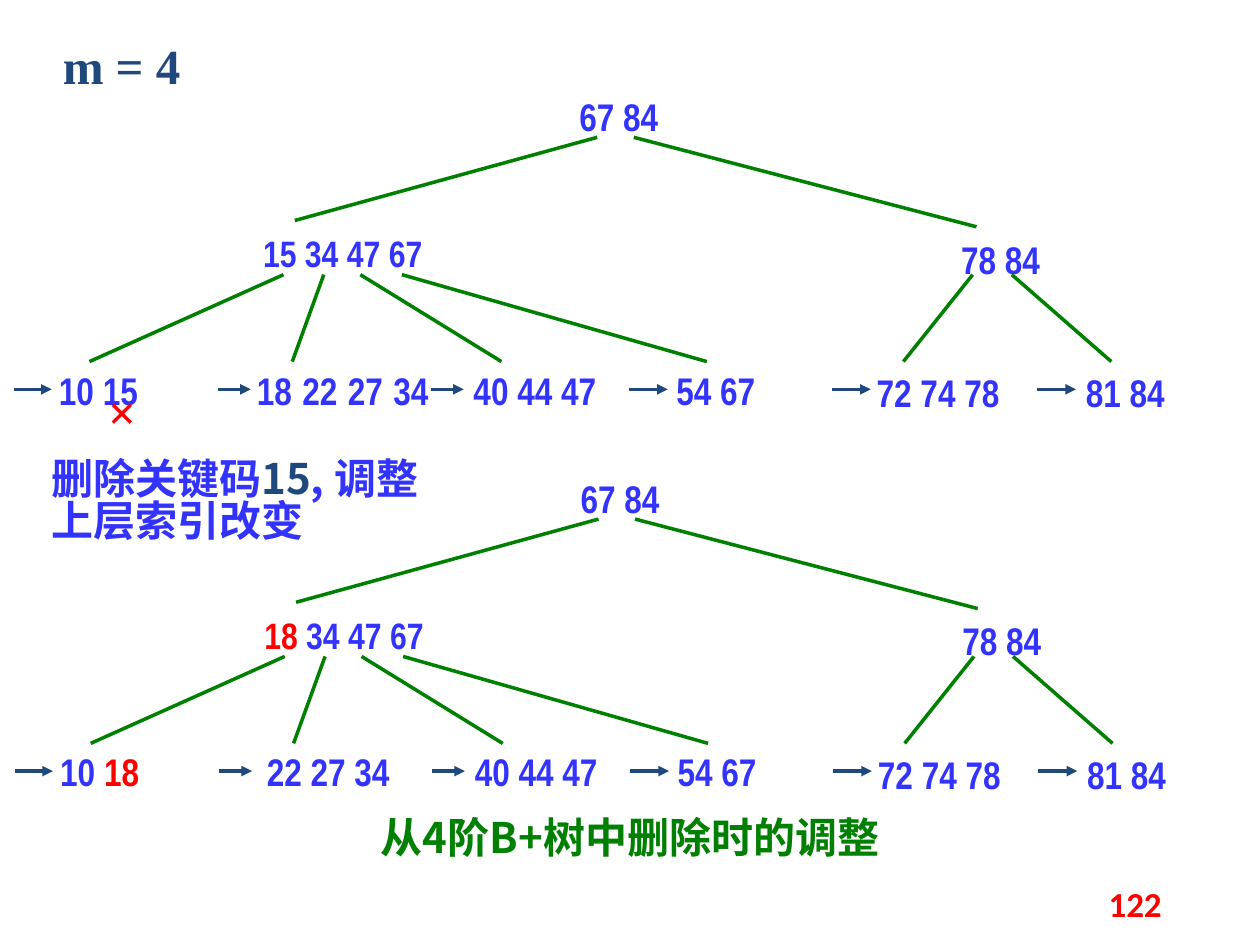
from lxml import etree
from pptx import Presentation
from pptx.dml.color import RGBColor
from pptx.enum.shapes import MSO_CONNECTOR
from pptx.enum.text import MSO_ANCHOR, MSO_AUTO_SIZE, PP_ALIGN
from pptx.oxml.ns import qn
from pptx.util import Inches, Pt

STRAIGHT = MSO_CONNECTOR.STRAIGHT
TOP, MIDDLE = MSO_ANCHOR.TOP, MSO_ANCHOR.MIDDLE
CENTER, JUSTIFY = PP_ALIGN.CENTER, PP_ALIGN.JUSTIFY

COLORS = {"key": "3333FF", "changed": "FF0000", "edge": "008000", "navy": "1F497D"}
SERIF, NARROW, CJK, SANS = "Times New Roman", "Arial Narrow", "Noto Sans CJK SC", "Calibri"

# Node slots shared by both trees: left, top, width, text size
NODE_HEIGHT = 0.58
NODE_SLOTS = [
    (4.5, 0.67, 1.56, 22),
    (1.99, 1.76, 1.56, 21), (7.53, 1.8, 1.56, 22),
    (0.37, 2.84, 1.56, 22), (1.94, 2.84, 1.56, 22), (3.66, 2.84, 1.56, 22),
    (5.27, 2.84, 1.56, 22), (6.86, 2.86, 1.56, 22), (8.52, 2.86, 1.2, 22),
]
# Edge bundles: parent y, child y, then (parent x, child x) pairs
EDGE_BUNDLES = [
    (1.09, 1.75, [(4.74, 2.34)]),
    (1.09, 1.8, [(5.03, 7.75)]),
    (2.18, 2.87, [(2.25, 0.71), (2.57, 2.32), (2.86, 3.98), (3.19, 5.61),
                  (7.72, 7.17), (8.03, 8.82)]),
]
LEAF_ARROW_Y = 3.09
LEAF_ARROWS = [(0.11, 0.41), (1.73, 1.99), (3.42, 3.68),
               (4.99, 5.3), (6.6, 6.91), (8.23, 8.54)]

# Each tree: offset, then one label per slot; a label is a list of (text, colour)
TREES = [
    ((0, 0), [
        [("67 84", "key")],
        [("15 34 47 67", "key")], [("78 84", "key")],
        [("10 15", "key")], [("18 22 27 34 ", "key")], [("40 44 47", "key")],
        [("54 67", "key")], [("72 74 78", "key")], [("81 84", "key")],
    ]),
    ((0.01, 3.03), [
        [("67 84", "key")],
        [("18", "changed"), (" 34 47 67", "key")], [("78 84", "key")],
        [("10 ", "key"), ("18", "changed")], [(" 22 27 34", "key")], [("40 44 47", "key")],
        [("54 67", "key")], [("72 74 78", "key")], [("81 84", "key")],
    ]),
]

# Notes: box, paragraphs, font, size, alignment, anchor, top inset, line spacing
NOTES = [
    ((0.4, 0.18, 1.56, 0.96), [[("m = 4", "navy")]],
     SERIF, 28, JUSTIFY, TOP, 0.1, 1),
    ((0.76, 2.96, 0.65, 0.71), [[("×", "changed")]],
     SERIF, 28, JUSTIFY, TOP, 0.07, 1),
    ((0.31, 3.58, 3.3, 0.96),
     [[("删除关键码", "key"), ("15", "navy"), (", 调整", "key")],
      [("上层索引改变", "key")]],
     CJK, 24, JUSTIFY, TOP, 0.07, 0.85),
    ((8.18, 6.97, 1.66, 0.4), [[("122", "changed")]],
     SANS, 20, CENTER, MIDDLE, 0.05, 1),
]
CAPTION_BOX = (0.35, 6.35, 9, 0.79)
CAPTION = [[("从4阶B+树中删除时的调整", "edge")]]


def rgb(name):
    return RGBColor.from_string(COLORS[name])


def write(shape, paragraphs, font, size, align=JUSTIFY, anchor=TOP, inset=0.07, spacing=1):
    frame = shape.text_frame
    frame.word_wrap = True
    frame.auto_size = MSO_AUTO_SIZE.NONE
    frame.vertical_anchor = anchor
    frame.margin_top = Inches(inset)
    for index, runs in enumerate(paragraphs):
        paragraph = frame.add_paragraph() if index else frame.paragraphs[0]
        paragraph.alignment = align
        paragraph.line_spacing = spacing
        paragraph.space_before = Pt(0)
        paragraph.font.name = font
        paragraph.font.size = Pt(size)
        paragraph.font.bold = True
        for text, color in runs:
            run = paragraph.add_run()
            run.text = text
            run.font.color.rgb = rgb(color)
            if font == CJK:
                run.font.name = font
                etree.SubElement(run.font._element, qn("a:ea"), typeface=font)


def add_text(shapes, box, *args):
    write(shapes.add_textbox(*map(Inches, box)), *args)


def add_line(shapes, ends, color, arrow=False):
    line = shapes.add_connector(STRAIGHT, *map(Inches, ends))
    line.line.color.rgb = rgb(color)
    line.line.width = Pt(2)
    if arrow:
        etree.SubElement(line.line._get_or_add_ln(), qn("a:tailEnd"), type="triangle")
    etree.SubElement(line._element.spPr, qn("a:effectLst"))


def add_tree(slide, offset, labels):
    dx, dy = offset
    shapes = slide.shapes.add_group_shape().shapes
    for (left, top, width, size), label in zip(NODE_SLOTS, labels):
        add_text(shapes, (left + dx, top + dy, width, NODE_HEIGHT), [label], NARROW, size)
    for parent_y, child_y, pairs in EDGE_BUNDLES:
        for parent_x, child_x in pairs:
            add_line(shapes, (parent_x + dx, parent_y + dy, child_x + dx, child_y + dy), "edge")
    for start, end in LEAF_ARROWS:
        y = LEAF_ARROW_Y + dy
        add_line(shapes, (start + dx, y, end + dx, y), "navy", arrow=True)


def main():
    prs = Presentation()
    prs.slide_width, prs.slide_height = Inches(10), Inches(7.5)
    slide = prs.slides.add_slide(prs.slide_layouts[5])

    caption = slide.shapes.title
    caption.left, caption.top, caption.width, caption.height = map(Inches, CAPTION_BOX)
    write(caption, CAPTION, CJK, 24, CENTER, TOP, 0.05, 1.1)
    caption.text_frame.margin_left = Inches(0.4)

    for offset, labels in TREES:
        add_tree(slide, offset, labels)
    for note in NOTES:
        add_text(slide.shapes, *note)
    prs.save("out.pptx")


if __name__ == "__main__":
    main()
